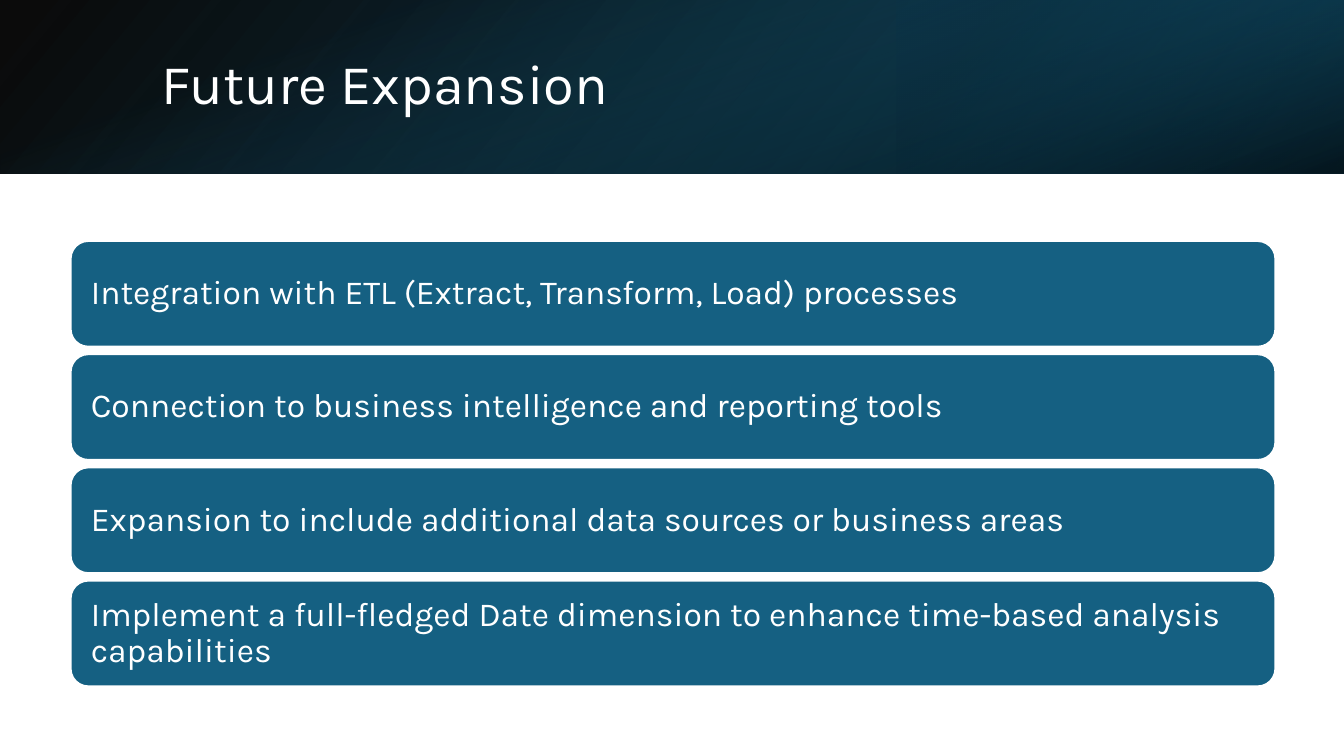
from dataclasses import dataclass

from lxml.etree import SubElement
from pptx import Presentation
from pptx.dml.color import RGBColor
from pptx.enum.shapes import MSO_SHAPE as Preset
from pptx.enum.text import MSO_ANCHOR as Anchor, MSO_AUTO_SIZE as AutoSize, PP_ALIGN as Align
from pptx.oxml.ns import qn
from pptx.shapes.autoshape import Shape
from pptx.slide import Slide
from pptx.util import Inches, Pt

SLIDE_WIDTH, SLIDE_HEIGHT, HEADER_HEIGHT = 13.33, 7.5, 1.72
WHITE, TEAL = "FFFFFF", "156082"
FONT = "Karla"

CARD_LEFT, CARD_WIDTH, CARD_HEIGHT = 0.7, 11.95, 1.05
FIRST_CARD_TOP, LAST_CARD_TOP = 2.39, 5.76
EXPANSIONS = [
    "Integration with ETL (Extract, Transform, Load) processes",
    "Connection to business intelligence and reporting tools",
    "Expansion to include additional data sources or business areas",
    "Implement a full-fledged Date dimension to enhance time-based analysis capabilities",
]


@dataclass(frozen=True)
class Stop:
    position: int
    color: str
    opacity: int = 100


@dataclass(frozen=True)
class HeaderLayer:
    """Gradient layer; the angle is in degrees, clockwise."""
    box: tuple[float, float, float, float]
    stops: tuple[Stop, Stop]
    angle: int
    rotation: int = 0
    flipped: bool = False


HEADER_LAYERS = [
    HeaderLayer((0, 0, SLIDE_WIDTH, HEADER_HEIGHT),
                (Stop(0, "000000", 96), Stop(100, "104862")), 140, flipped=True),
    HeaderLayer((8.89, 0, 4.44, HEADER_HEIGHT),
                (Stop(19, "0B3041", 68), Stop(100, TEAL, 79)), 320, rotation=180, flipped=True),
    HeaderLayer(((SLIDE_WIDTH - HEADER_HEIGHT) / 2, (HEADER_HEIGHT - SLIDE_WIDTH) / 2,
                 HEADER_HEIGHT, SLIDE_WIDTH),
                (Stop(23, TEAL, 0), Stop(99, "000000", 74)), 340, rotation=90),
]


def rgb(color: str) -> RGBColor:
    return RGBColor.from_string(color)


def add_preset(slide: Slide, preset: Preset, box: tuple[float, float, float, float]) -> Shape:
    shape = slide.shapes.add_shape(preset, *map(Inches, box))
    shape.shadow.inherit = False
    return shape


def draw_header_layer(slide: Slide, layer: HeaderLayer) -> None:
    band = add_preset(slide, Preset.RECTANGLE, layer.box)
    band.rotation = layer.rotation
    if layer.flipped:
        band._element.spPr.find(qn("a:xfrm")).set("flipH", "1")
    band.line.fill.background()
    band.fill.gradient()
    band.fill.gradient_angle = 360 - layer.angle
    for gradient_stop, stop in zip(band.fill.gradient_stops, layer.stops):
        gradient_stop.position = stop.position / 100
        gradient_stop.color.rgb = rgb(stop.color)
    for color, stop in zip(band._element.spPr.iter(qn("a:srgbClr")), layer.stops):
        if stop.opacity < 100:
            SubElement(color, qn("a:alpha")).set("val", str(stop.opacity * 1000))


def write_text(shape: Shape, text: str, size: int, inset: float) -> None:
    frame = shape.text_frame
    frame.text = text
    margin = Inches(inset)
    frame_format = {"word_wrap": True, "auto_size": AutoSize.NONE,
                    "vertical_anchor": Anchor.MIDDLE,
                    "margin_left": margin, "margin_right": margin}
    paragraph = frame.paragraphs[0]
    paragraph_format = {"alignment": Align.LEFT, "line_spacing": 0.9}
    font_format = {"name": FONT, "size": Pt(size)}
    for target, values in ((frame, frame_format), (paragraph, paragraph_format),
                           (paragraph.font, font_format)):
        for attribute, value in values.items():
            setattr(target, attribute, value)
    paragraph.font.color.rgb = rgb(WHITE)


def draw_title(slide: Slide) -> None:
    title = slide.shapes.title
    place = {"left": 1.5, "top": 0.38, "width": 10.98, "height": 0.96}
    for attribute, length in place.items():
        setattr(title, attribute, Inches(length))
    write_text(title, "Future Expansion", 40, inset=0.1)
    # The title belongs in front of the header layers.
    slide.shapes._spTree.append(title._element)


def draw_card(slide: Slide, text: str, top: float) -> None:
    card = add_preset(slide, Preset.ROUNDED_RECTANGLE,
                      (CARD_LEFT, top, CARD_WIDTH, CARD_HEIGHT))
    card.fill.solid()
    card.fill.fore_color.rgb = rgb(TEAL)
    card.line.color.rgb = rgb(WHITE)
    card.line.width = Pt(1.5)
    write_text(card, text, 24, inset=0.15)


def main() -> None:
    presentation = Presentation()
    presentation.slide_width = Inches(SLIDE_WIDTH)
    presentation.slide_height = Inches(SLIDE_HEIGHT)
    slide = presentation.slides.add_slide(presentation.slide_layouts.get_by_name("Title Only"))
    slide.background.fill.solid()
    slide.background.fill.fore_color.rgb = rgb(WHITE)

    for layer in HEADER_LAYERS:
        draw_header_layer(slide, layer)
    draw_title(slide)
    card_pitch = (LAST_CARD_TOP - FIRST_CARD_TOP) / (len(EXPANSIONS) - 1)
    for row, expansion in enumerate(EXPANSIONS):
        draw_card(slide, expansion, FIRST_CARD_TOP + row * card_pitch)
    presentation.save("out.pptx")


if __name__ == "__main__":
    main()
